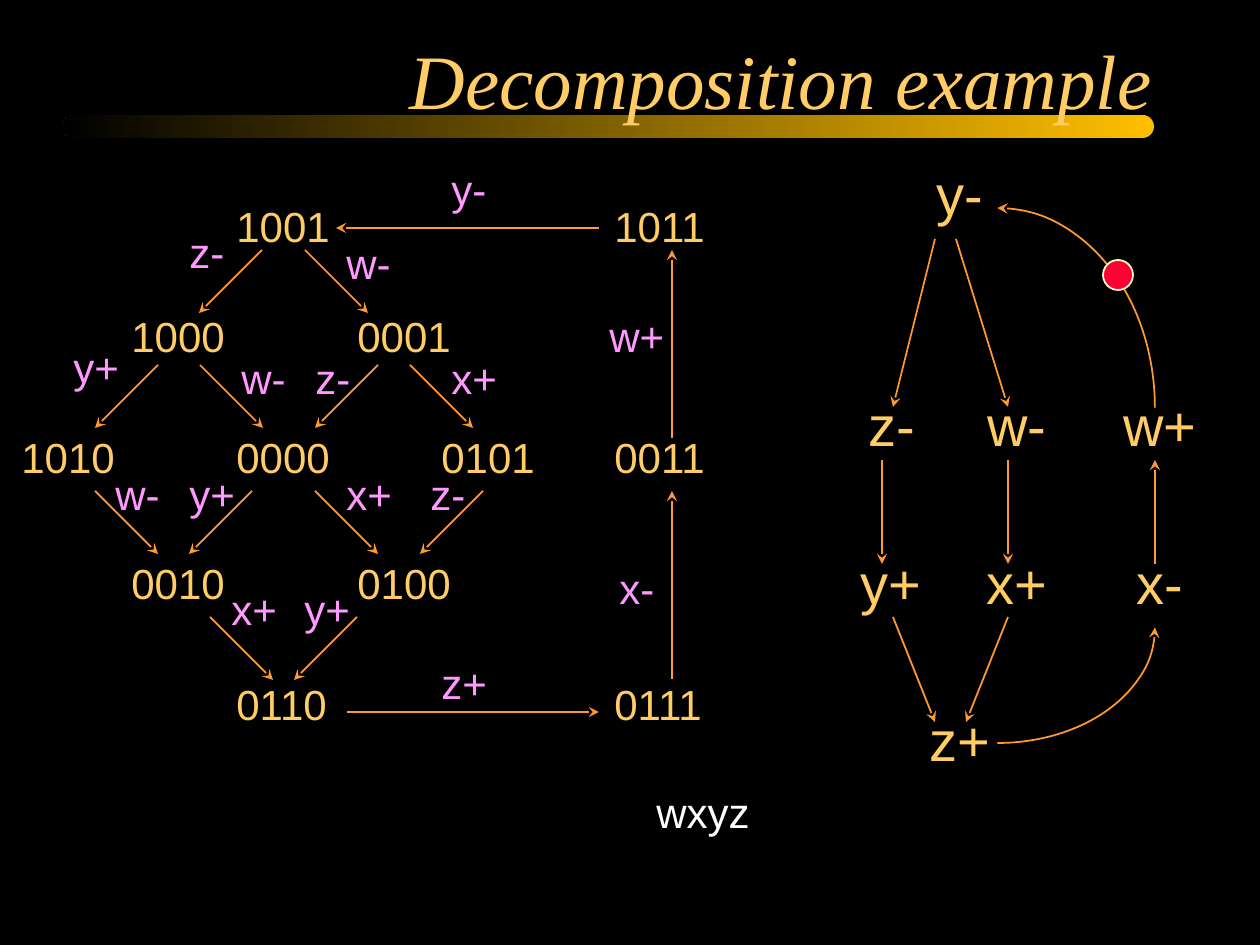
import dataclasses

import lxml.etree
import pptx
import pptx.dml.color
import pptx.enum.dml
import pptx.enum.shapes
import pptx.enum.text
import pptx.oxml.ns
import pptx.util

SHAPE = pptx.enum.shapes.MSO_SHAPE
ALIGN = pptx.enum.text.PP_ALIGN
ANCHOR = pptx.enum.text.MSO_ANCHOR


@dataclasses.dataclass(frozen=True)
class Theme:
    background: str = "000000"
    text: str = "FFCC66"
    event: str = "FF99FF"
    legend: str = "FFFFFF"
    arrow: str = "FF9933"
    token: str = "FF0033"
    token_line: str = "FFFFCC"
    bar: str = "FFBF00"
    title_font: str = "Times New Roman"
    body_font: str = "Arial"
    title_size: int = 44
    node_size: int = 32
    state_size: int = 24
    line_width: int = 1


THEME = Theme()

# Label widths in px by type size; labels not listed go by their sign
LABEL_HEIGHT = {24: 58, 32: 73}
LABEL_WIDTH = {
    24: {"w-": 69, "w+": 81, "-": 60, "+": 71},
    32: {"w-": 84, "w+": 98, "-": 72, "+": 86},
}
STATE_WIDTH = 118


def px(length):
    return pptx.util.Emu(round(length * 914400 / 126))


def rgb(value):
    return pptx.dml.color.RGBColor.from_string(value)


def add_text(shapes, text, box, *, size, color, font=THEME.body_font, italic=False,
             align=ALIGN.LEFT, anchor=ANCHOR.TOP, wrap=False, spacing=0.9):
    shape = shapes.add_textbox(*map(px, box))
    frame = shape.text_frame
    frame.word_wrap = wrap
    frame.vertical_anchor = anchor
    if not wrap:
        frame.margin_right = 0  # spare room keeps short labels on one line
    paragraph = frame.paragraphs[0]
    paragraph.alignment = align
    paragraph.line_spacing = spacing
    run = paragraph.add_run()
    run.text = text
    run.font.name = font
    run.font.size = pptx.util.Pt(size)
    run.font.italic = italic
    run.font.color.rgb = rgb(color)


def add_event(shapes, text, left, top, size, color):
    widths = LABEL_WIDTH[size]
    width = widths.get(text, widths[text[-1]])
    add_text(shapes, text, (left, top, width, LABEL_HEIGHT[size]), size=size, color=color)


def style_arrow(shape, end):
    shape.line.color.rgb = rgb(THEME.arrow)
    shape.line.width = pptx.util.Pt(THEME.line_width)
    line = shape.line._get_or_add_ln()
    lxml.etree.SubElement(line, pptx.oxml.ns.qn(f"a:{end}"), type="stealth")


def add_arrow(shapes, start, end):
    arrow = shapes.add_connector(pptx.enum.shapes.MSO_CONNECTOR.STRAIGHT,
                                 *map(px, (*start, *end)))
    style_arrow(arrow, "tailEnd")
    lxml.etree.SubElement(arrow._element.spPr, pptx.oxml.ns.qn("a:effectLst"))


def add_arc(shapes, box, start_angle, end_angle):
    arc = shapes.add_shape(SHAPE.ARC, *map(px, box))
    # Angles are stored in 60000ths of a degree, adjustments in 100000ths
    arc.adjustments[0] = start_angle * 0.6
    arc.adjustments[1] = end_angle * 0.6
    arc.fill.background()
    style_arrow(arc, "headEnd")
    arc.shadow.inherit = False


def add_heading(slide, left, top, width):
    # Fading bar under the title
    bar = slide.shapes.add_shape(SHAPE.ROUNDED_RECTANGLE,
                                 *map(px, (left, top + 115, width, 23)))
    bar.adjustments[0] = 0.5
    bar.shadow.inherit = False
    bar.line.fill.background()
    bar.fill.gradient()
    bar.fill.gradient_angle = 180
    for stop, color in zip(bar.fill.gradient_stops, (THEME.bar, THEME.background)):
        stop.color.rgb = rgb(color)
    # Title
    add_text(slide.shapes, "Decomposition example", (left + 31, top - 5, width - 20, 168),
             size=THEME.title_size, color=THEME.text, font=THEME.title_font, italic=True,
             align=ALIGN.RIGHT, anchor=ANCHOR.MIDDLE, wrap=True, spacing=1.0)


def add_signal_graph(slide, left, top):
    shapes = slide.shapes.add_group_shape().shapes

    # Signal transitions
    for text, x, y in (("y-", 84, 11), ("z-", 16, 242), ("w-", 135, 242), ("w+", 271, 242),
                       ("y+", 8, 400), ("x+", 134, 400), ("x-", 284, 400), ("z+", 77, 557)):
        add_event(shapes, text, left + x, top + y, THEME.node_size, THEME.text)

    # Straight arrows
    for x1, y1, x2, y2 in ((95, 89, 53, 257), (116, 89, 168, 257), (42, 310, 42, 414),
                           (168, 310, 168, 414), (53, 467, 95, 572), (168, 467, 126, 572),
                           (315, 414, 315, 310)):
        add_arrow(shapes, (left + x1, top + y1), (left + x2, top + y2))

    # Curved arrows z+ to x-, and w+ to y-
    add_arc(shapes, (left, top + 362, 315, 231), 0, 90)
    add_arc(shapes, (left, top + 58, 315, 399), 270, 0)

    # Token
    token = shapes.add_shape(SHAPE.OVAL, *map(px, (left + 263, top + 110, 30, 30)))
    token.shadow.inherit = False
    token.fill.solid()
    token.fill.fore_color.rgb = rgb(THEME.token)
    token.line.color.rgb = rgb(THEME.token_line)
    token.line.width = pptx.util.Pt(THEME.line_width)


def add_state_graph(slide, left, top):
    shapes = slide.shapes.add_group_shape().shapes
    size = THEME.state_size

    # States, row by row
    rows = (
        (50, (("1001", 224), ("1011", 602))),
        (160, (("1000", 119), ("0001", 345))),
        (281, (("1010", 9), ("0000", 224), ("0101", 429), ("0011", 602))),
        (407, (("0010", 119), ("0100", 345))),
        (528, (("0110", 224), ("0111", 602))),
    )
    for y, states in rows:
        for text, x in states:
            add_text(shapes, text, (left + x, top + y, STATE_WIDTH, LABEL_HEIGHT[size]),
                     size=size, color=THEME.text)

    # Transitions: event, label position, arrow start, arrow run
    down_left, down_right = (-63, 63), (63, 63)
    transitions = (
        ("y-", (439, 13), (599, 78), (-263, 0)),
        ("z-", (177, 76), (262, 100), down_left),
        ("w-", (334, 87), (305, 100), down_right),
        ("y+", (61, 191), (158, 215), down_left),
        ("w-", (229, 202), (200, 215), down_right),
        ("z-", (303, 202), (378, 215), down_left),
        ("x+", (439, 202), (410, 215), down_right),
        ("w-", (103, 318), (95, 341), down_right),
        ("y+", (177, 318), (252, 341), down_left),
        ("x+", (334, 318), (315, 341), down_right),
        ("z-", (418, 318), (483, 341), down_left),
        ("x+", (219, 433), (210, 467), down_right),
        ("y+", (292, 433), (357, 467), down_left),
        ("z+", (429, 507), (347, 562), (252, 0)),
        ("x-", (607, 412), (672, 529), (0, -188)),
        ("w+", (597, 160), (672, 288), (0, -188)),
    )
    for event, (label_x, label_y), (x, y), (run_x, run_y) in transitions:
        start_x, start_y = left + x, top + y
        add_arrow(shapes, (start_x, start_y), (start_x + run_x, start_y + run_y))
        add_event(shapes, event, left + label_x, top + label_y, size, THEME.event)

    # Signal order
    add_text(shapes, "wxyz", (left + 644, top + 630, STATE_WIDTH, 63),
             size=size, color=THEME.legend, spacing=1.0)


def main():
    presentation = pptx.Presentation()
    presentation.slide_width = px(1260)
    presentation.slide_height = px(945)
    slide = presentation.slides.add_slide(presentation.slide_layouts[6])
    slide.background.fill.solid()
    slide.background.fill.fore_color.rgb = rgb(THEME.background)

    add_heading(slide, 63, 0, 1091)
    add_signal_graph(slide, 840, 150)
    add_state_graph(slide, 0, 150)
    presentation.save("out.pptx")


if __name__ == "__main__":
    main()
